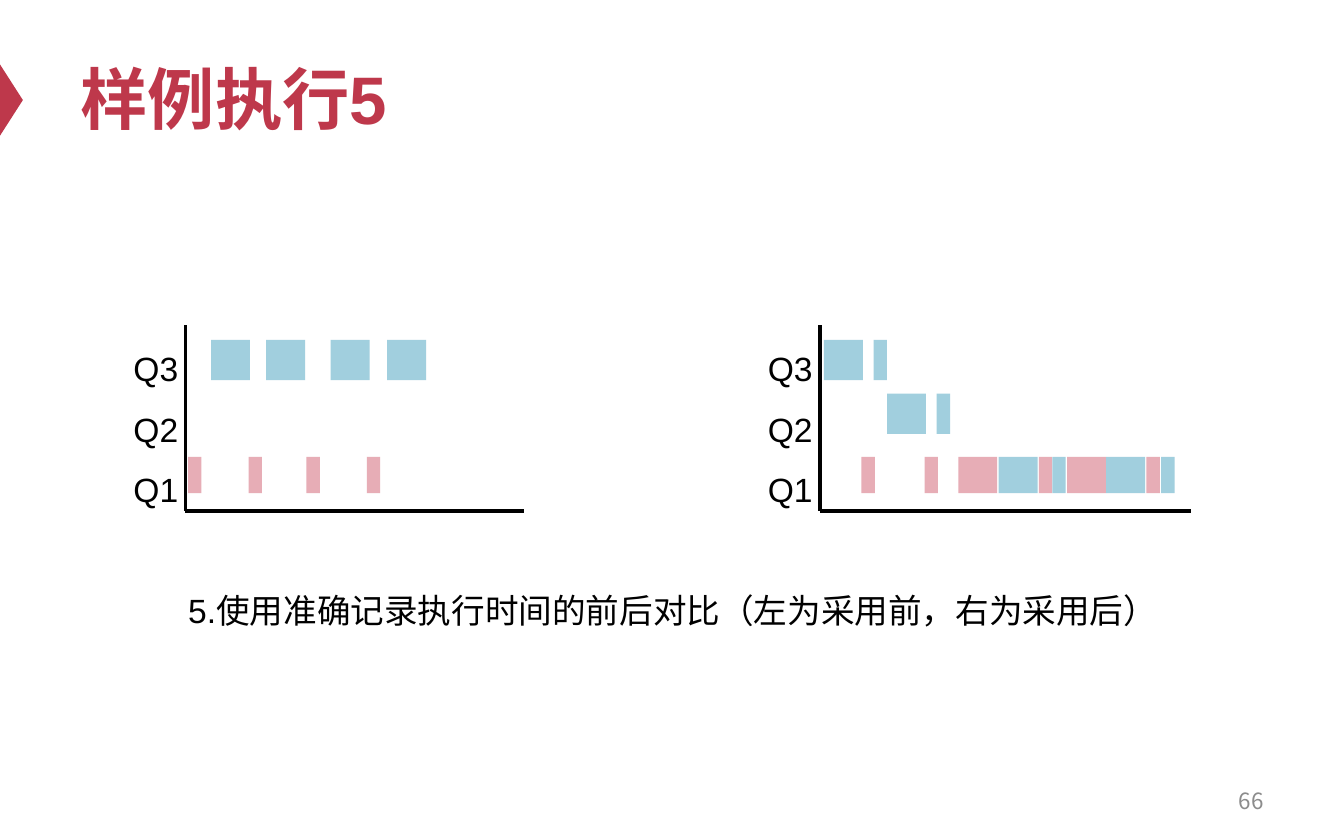
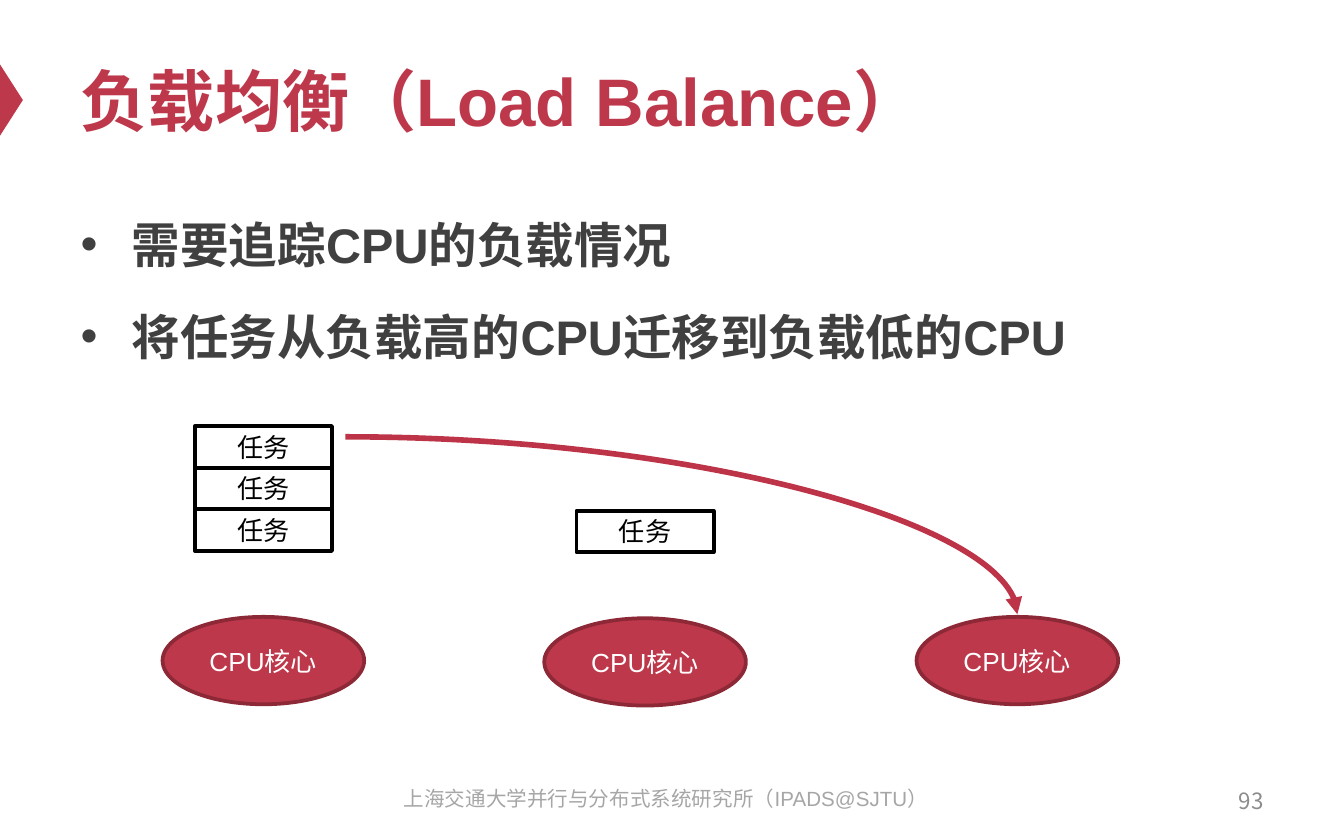
from typing import NamedTuple

from lxml import etree
from pptx import Presentation
from pptx.dml.color import RGBColor
from pptx.enum.shapes import MSO_CONNECTOR, MSO_SHAPE
from pptx.enum.text import MSO_ANCHOR, MSO_AUTO_SIZE, PP_ALIGN
from pptx.oxml.ns import qn
from pptx.util import Inches, Pt

RECT, OVAL, WEDGE = MSO_SHAPE.RECTANGLE, MSO_SHAPE.OVAL, MSO_SHAPE.ISOSCELES_TRIANGLE
LINE, CURVE = MSO_CONNECTOR.STRAIGHT, MSO_CONNECTOR.CURVE
LEFT, MID, RIGHT = PP_ALIGN.LEFT, PP_ALIGN.CENTER, PP_ALIGN.RIGHT
TOP, CENTER = MSO_ANCHOR.TOP, MSO_ANCHOR.MIDDLE

# Grid: the slide is 100 columns by 62.5 rows
COLS, ROWS = 100, 62.5
CELL = Inches(0.1)

RED, DARK, ARROW = "BE384B", "8D2937", "BD3347"
PINK, BLUE = "E7ADB6", "A1CFDE"
BLACK, WHITE, BODY, PAGE, FOOT = "000000", "FFFFFF", "404040", "8C8C8C", "A6A6A6"
LATIN, HAN = "Arial", "Noto Sans CJK SC"


class Box(NamedTuple):
    col: float
    row: float
    wide: float
    high: float


class Look(NamedTuple):
    size: float
    color: str
    bold: bool = False
    align: PP_ALIGN = LEFT
    space: float = 1.0
    before: float = 0
    bullet: str = ""
    font: str = LATIN


class Bar(NamedTuple):
    lane: str
    col: float
    wide: float
    color: str


class Plot(NamedTuple):
    col: float
    wide: float
    bars: list[Bar]


class Core(NamedTuple):
    col: float
    row: float
    tasks: int


TITLE = Look(36, RED, bold=True)
LIST = Look(26, BODY, bold=True, space=1.2, before=12, bullet="•")
NUMBER = Look(12, PAGE, align=RIGHT, font=HAN)
FOOTER = Look(11, FOOT, align=MID)
NOTE = Look(18, BLACK, align=MID, space=1.2)
LANE = Look(18, BLACK, space=1.5)
TASK = Look(14, BLACK, align=MID)
CORE = Look(14, WHITE, align=MID)


# Basic drawing
def cells(*nums: float) -> list[int]:
    return [round(n * CELL) for n in nums]


def rgb(code: str) -> RGBColor:
    return RGBColor.from_string(code)


def place(shape, box: Box) -> None:
    shape.left, shape.top, shape.width, shape.height = cells(*box)


def write(shape, lines: list[str], look: Look, anchor=CENTER) -> None:
    frame = shape.text_frame
    frame.word_wrap = True
    frame.auto_size = MSO_AUTO_SIZE.NONE
    frame.vertical_anchor = anchor
    for i, line in enumerate(lines):
        para = frame.paragraphs[0] if i == 0 else frame.add_paragraph()
        para.text = line
        para.alignment = look.align
        para.line_spacing = look.space
        para.space_before = Pt(look.before if i else 0)
        props = para._p.get_or_add_pPr()
        if look.bullet:
            props.set("marL", str(Inches(0.38)))
            props.set("indent", str(-Inches(0.38)))
            etree.SubElement(props, qn("a:buChar"), char=look.bullet)
        font = para.font
        font.size, font.bold, font.name = Pt(look.size), look.bold, look.font
        font.color.rgb = rgb(look.color)
        etree.SubElement(props.find(qn("a:defRPr")), qn("a:ea"), typeface=HAN)


def label(slide, box: Box, lines: list[str], look: Look, anchor=TOP) -> None:
    write(slide.shapes.add_textbox(*cells(*box)), lines, look, anchor)


def draw(slide, kind, box: Box, fill: str = "", edge: str = ""):
    shape = slide.shapes.add_shape(kind, *cells(*box))
    shape.shadow.inherit = False
    if fill:
        shape.fill.solid()
        shape.fill.fore_color.rgb = rgb(fill)
    else:
        shape.fill.background()
    if edge:
        shape.line.color.rgb = rgb(edge)
        shape.line.width = Pt(2)
    else:
        shape.line.fill.background()
    return shape


def link(slide, kind, ends: tuple, color: str, width: float):
    line = slide.shapes.add_connector(kind, *cells(*ends))
    line.line.color.rgb = rgb(color)
    line.line.width = Pt(width)
    etree.SubElement(line._element.spPr, qn("a:effectLst"))
    return line


# Shared page parts
def start(deck, layout: int, title: str, box: Box, page: int):
    slide = deck.slides.add_slide(deck.slide_layouts[layout])
    draw(slide, WEDGE, Box(-1.8, 6.6, 5.3, 1.7), RED).rotation = 90
    place(slide.shapes.title, box)
    write(slide.shapes.title, [title], TITLE)
    label(slide, Box(71.7, 57.9, 23.3, 3.3), [str(page)], NUMBER, CENTER)
    return slide


# Timelines: bar columns count from the upright axis
SHORT, LONG = 1, 2.9
LANES = {"Q3": (25.3, 3), "Q2": (29.3, 3), "Q1": (34, 2.7)}
PLOTS = [
    Plot(13.8, 25.2,
         [Bar("Q3", col, LONG, BLUE) for col in (1.9, 6, 10.8, 15)]
         + [Bar("Q1", col, SHORT, PINK) for col in (0.2, 4.7, 9, 13.5)]),
    Plot(61, 27.6, [
        Bar("Q3", 0.3, LONG, BLUE), Bar("Q3", 4, SHORT, BLUE),
        Bar("Q2", 5, LONG, BLUE), Bar("Q2", 8.7, SHORT, BLUE),
        Bar("Q1", 3.1, SHORT, PINK), Bar("Q1", 7.8, SHORT, PINK),
        Bar("Q1", 10.3, LONG, PINK), Bar("Q1", 13.3, LONG, BLUE),
        Bar("Q1", 16.3, SHORT, PINK), Bar("Q1", 17.3, SHORT, BLUE),
        Bar("Q1", 18.4, LONG, PINK), Bar("Q1", 21.3, LONG, BLUE),
        Bar("Q1", 24.3, SHORT, PINK), Bar("Q1", 25.4, SHORT, BLUE),
    ]),
]


def trace(slide, plot: Plot) -> None:
    top, base = 24.2, 38
    label(slide, Box(plot.col - 4.85, 23.9, 6, 14.1), list(LANES), LANE)
    link(slide, LINE, (plot.col, top, plot.col, base), BLACK, 2)
    link(slide, LINE, (plot.col, base, plot.col + plot.wide, base), BLACK, 2)
    for bar in plot.bars:
        row, high = LANES[bar.lane]
        draw(slide, RECT, Box(plot.col + bar.col, row, bar.wide, high), bar.color)


def sample(deck) -> None:
    slide = start(deck, 5, "样例执行5", Box(5, 2.1, 90, 10.4), 66)
    label(slide, Box(12.9, 42.8, 74.3, 7),
          ["5.使用准确记录执行时间的前后对比（左为采用前，右为采用后）"], NOTE)
    for plot in PLOTS:
        trace(slide, plot)


# Load balance: stacks of tasks above the cores
CORES = [Core(12.1, 45.9, 3), Core(40.5, 46, 1), Core(68.2, 45.9, 0)]


def stack(slide, core: Core) -> None:
    wide, high = 10.2, 3.1
    for i in range(core.tasks):
        box = Box(core.col + 2.4, core.row - 8 - i * high, wide, high)
        write(draw(slide, RECT, box, edge=BLACK), ["任务"], TASK)
    oval = draw(slide, OVAL, Box(core.col, core.row, 15, 6.5), RED, DARK)
    write(oval, ["CPU核心"], CORE)


def balance(deck) -> None:
    slide = start(deck, 1, "负载均衡（Load Balance）", Box(5, 2.5, 90, 9.8), 93)
    body = slide.placeholders[1]
    place(body, Box(5, 14.6, 90, 41.2))
    write(body, ["需要追踪CPU的负载情况", "将任务从负载高的CPU迁移到负载低的CPU"], LIST, TOP)
    label(slide, Box(27.9, 58, 43.3, 3.3),
          ["上海交通大学并行与分布式系统研究所（IPADS@SJTU）"], FOOTER)
    for core in CORES:
        stack(slide, core)
    # Move a task to the idle core
    move = link(slide, CURVE, (25.7, 32.5, 75.7, 45.7), ARROW, 3)
    move._element.spPr.find(qn("a:prstGeom")).set("prst", "curvedConnector2")
    etree.SubElement(move.line._get_or_add_ln(), qn("a:tailEnd"), type="triangle")


def main() -> None:
    deck = Presentation()
    deck.slide_width, deck.slide_height = cells(COLS, ROWS)
    sample(deck)
    balance(deck)
    deck.save("out.pptx")


if __name__ == "__main__":
    main()
